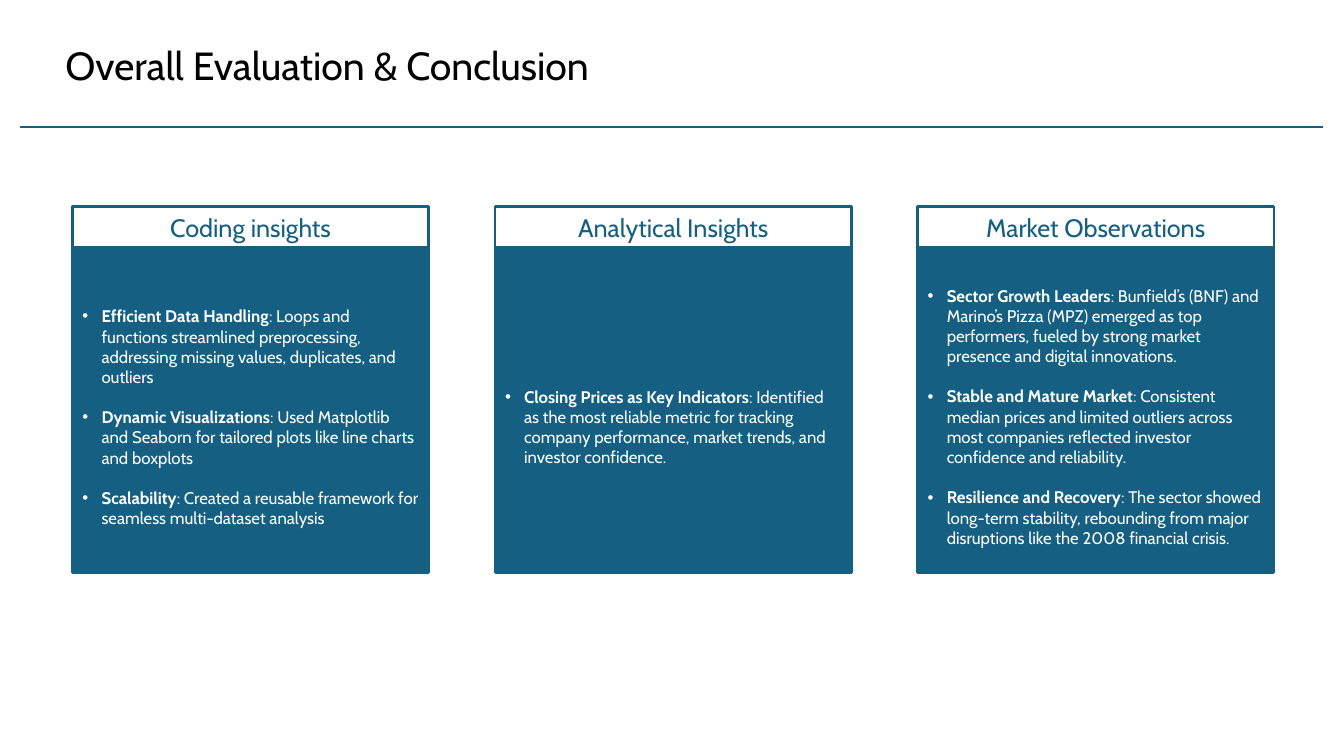
from dataclasses import dataclass

from lxml import etree
from pptx import Presentation
from pptx import util as u
from pptx.dml.color import RGBColor
from pptx.enum import shapes, text
from pptx.oxml.ns import qn


@dataclass(frozen=True)
class Theme:
    font: str = "Cabin"
    teal: RGBColor = RGBColor(0x15, 0x60, 0x82)
    white: RGBColor = RGBColor(0xFF, 0xFF, 0xFF)
    black: RGBColor = RGBColor(0, 0, 0)
    title_size: float = 28
    heading_size: float = 18
    body_size: float = 12
    point_gap: float = 14.5
    rule_width: float = 1.5
    card_line: float = 2.25


THEME = Theme()

CARDS = [
    ("Coding insights", 1.12, [
        ("Efficient Data Handling", ": Loops and functions streamlined preprocessing, "
         "addressing missing values, duplicates, and outliers"),
        ("Dynamic Visualizations", ": Used Matplotlib and Seaborn for tailored plots "
         "like line charts and boxplots"),
        ("Scalability", ": Created a reusable framework for seamless multi-dataset analysis"),
    ]),
    ("Analytical Insights", 2.66, [
        ("Closing Prices as Key Indicators", ": Identified as the most reliable metric for "
         "tracking company performance, market trends, and investor confidence."),
    ]),
    ("Market Observations", 0.63, [
        ("Sector Growth Leaders", ": Bunfield’s (BNF) and Marino’s Pizza (MPZ) emerged as "
         "top performers, fueled by strong market presence and digital innovations."),
        ("Stable and Mature Market", ": Consistent median prices and limited outliers across "
         "most companies reflected investor confidence and reliability."),
        ("Resilience and Recovery", ": The sector showed long-term stability, rebounding "
         "from major disruptions like the 2008 financial crisis."),
    ]),
]


def add_span(para, words, size, color, bold=False):
    span = para.add_run()
    span.text = words
    span.font.name = THEME.font
    span.font.size = u.Pt(size)
    span.font.color.rgb = color
    span.font.bold = bold


def add_bullet(para):
    props = para._p.get_or_add_pPr()
    props.set("marL", str(u.Cm(0.48)))
    props.set("indent", str(-u.Cm(0.48)))
    etree.SubElement(props, qn("a:buFont")).set("typeface", "Arial")
    etree.SubElement(props, qn("a:buChar")).set("char", "•")


def add_panel(page, left, top, width, height, fill, line_width):
    panel = page.shapes.add_shape(shapes.MSO_SHAPE.RECTANGLE, left, top, width, height)
    panel.shadow.inherit = False
    panel.fill.solid()
    panel.fill.fore_color.rgb = fill
    panel.line.color.rgb = THEME.teal
    panel.line.width = u.Pt(line_width)
    panel.text_frame.word_wrap = True
    return panel


def add_title(page, left, top, width, height):
    box = page.shapes.add_textbox(left, top, width, height)
    box.text_frame.word_wrap = True
    add_span(box.text_frame.paragraphs[0], "Overall Evaluation & Conclusion",
             THEME.title_size, THEME.black)


def add_rule(page, left, top, width):
    rule = page.shapes.add_connector(
        shapes.MSO_CONNECTOR.STRAIGHT, left, top, left + width, top)
    rule.line.color.rgb = THEME.teal
    rule.line.width = u.Pt(THEME.rule_width)
    etree.SubElement(rule._element.spPr, qn("a:effectLst"))


def add_card(page, left, top, width, height, heading, bottom_inset, points):
    body = add_panel(page, left, top, width, height, THEME.teal, THEME.card_line)
    frame = body.text_frame
    frame.vertical_anchor = text.MSO_ANCHOR.BOTTOM
    frame.margin_bottom = u.Cm(bottom_inset)
    for index, (label, detail) in enumerate(points):
        para = frame.add_paragraph() if index else frame.paragraphs[0]
        para.alignment = text.PP_ALIGN.LEFT
        if index:
            para.space_before = u.Pt(THEME.point_gap)
        add_bullet(para)
        add_span(para, label, THEME.body_size, THEME.white, bold=True)
        add_span(para, detail, THEME.body_size, THEME.white)

    header = add_panel(page, left, top, width, u.Cm(1.02), THEME.white, THEME.rule_width)
    header.text_frame.vertical_anchor = text.MSO_ANCHOR.MIDDLE
    para = header.text_frame.paragraphs[0]
    para.alignment = text.PP_ALIGN.CENTER
    add_span(para, heading, THEME.heading_size, THEME.teal)


def add_cards(page, left, top, width, height):
    card_width = u.Cm(8.97)
    step = (width - card_width) // (len(CARDS) - 1)
    for index, card in enumerate(CARDS):
        add_card(page, left + index * step, top, card_width, height, *card)


def main():
    deck = Presentation()
    deck.slide_width, deck.slide_height = u.Cm(33.87), u.Cm(19.05)
    page = deck.slides.add_slide(deck.slide_layouts[6])
    add_rule(page, u.Cm(0.51), u.Cm(3.2), u.Cm(32.84))
    add_title(page, u.Cm(1.4), u.Cm(0.91), u.Cm(28.68), u.Cm(1.45))
    add_cards(page, u.Cm(1.83), u.Cm(5.21), u.Cm(30.27), u.Cm(9.22))
    deck.save("out.pptx")


if __name__ == "__main__":
    main()
